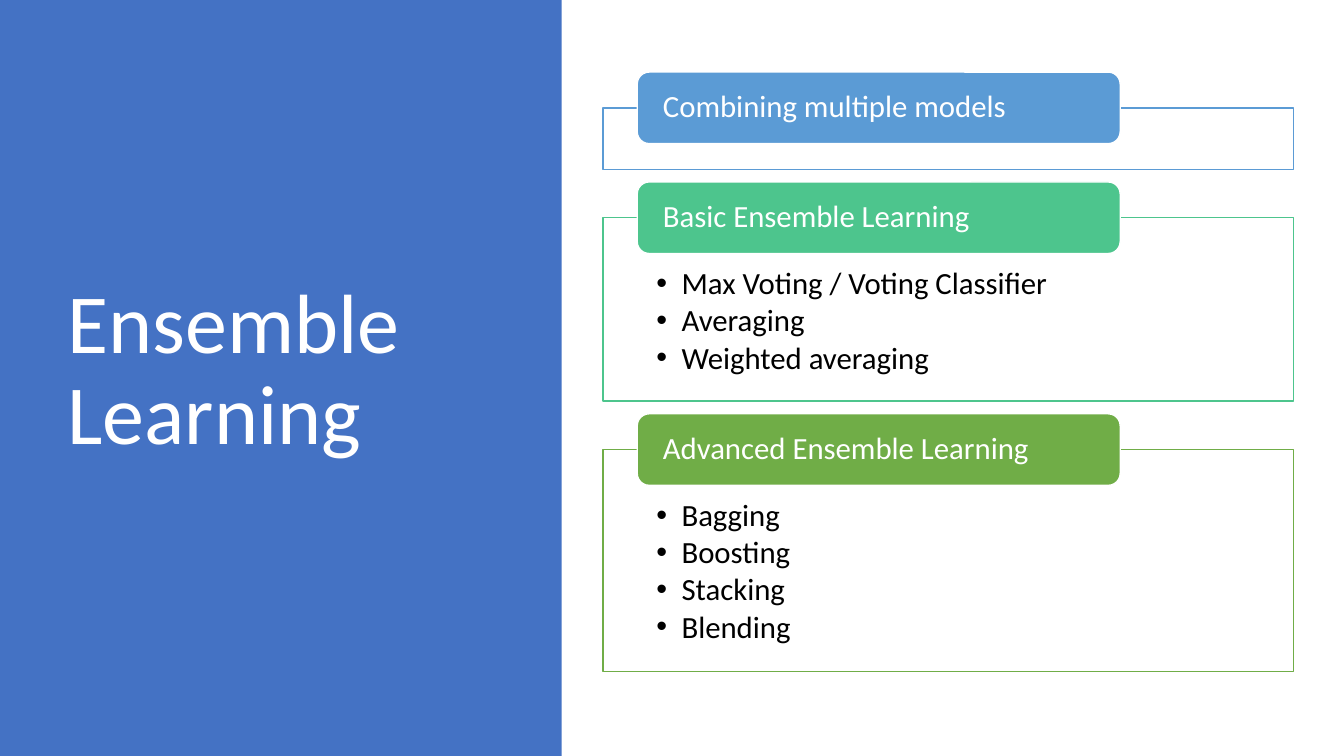
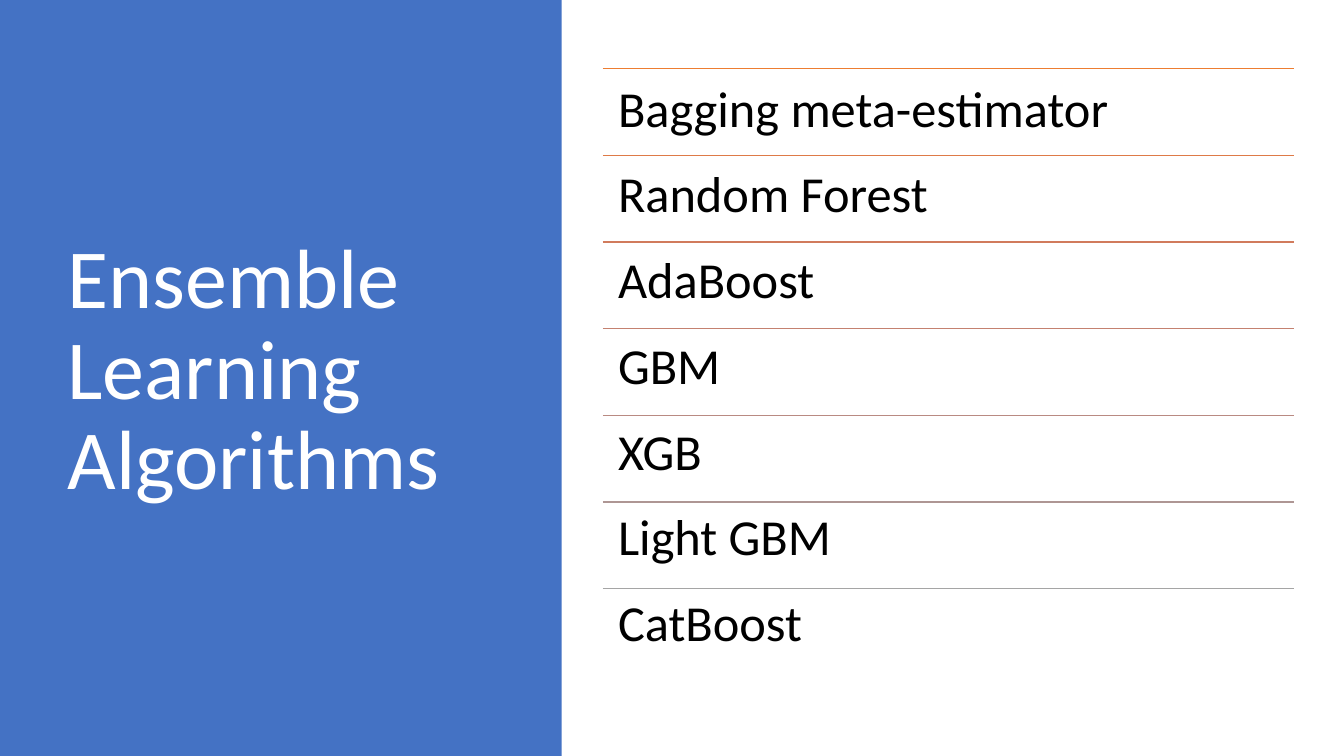
from dataclasses import dataclass

from pptx import Presentation
from pptx.dml.color import RGBColor
from pptx.enum.shapes import MSO_CONNECTOR, MSO_SHAPE
from pptx.enum.text import MSO_ANCHOR, MSO_AUTO_SIZE, PP_ALIGN
from pptx.oxml.ns import qn
from pptx.util import Inches, Pt


@dataclass(frozen=True)
class Theme:
    font: str = "Calibri"
    band: str = "4472C4"
    light: str = "FFFFFF"
    dark: str = "000000"
    title_size: int = 60
    row_size: int = 36
    card_size: int = 22
    line_width: float = 1
    line_spacing: float = 0.9


THEME = Theme()
TITLE_ONLY, TITLE_AND_LIST, TWO_LISTS = 5, 1, 3

CONTENT_LEFT, CONTENT_WIDTH = 5.98, 6.85
CARDS_TOP, CARD_GAP = 1.07, 0.48
HEADING_LEFT, HEADING_WIDTH, HEADING_HEIGHT = 6.32, 4.79, 0.71
ROWS_TOP, ROW_HEIGHT, ROW_GAP_PT = 0.68, 0.86, 22.37

CARDS = [
    ("Combining multiple models", "5B9BD5", 0.61, []),
    ("Basic Ensemble Learning", "4DC58D", 1.82,
     ["Max Voting / Voting Classifier", "Averaging", "Weighted averaging"]),
    ("Advanced Ensemble Learning", "70AD47", 2.2,
     ["Bagging", "Boosting", "Stacking", "Blending"]),
]
ALGORITHMS = [
    ("Bagging meta-estimator", "ED7D31"),
    ("Random Forest", "DE7A47"),
    ("AdaBoost", "D17B5C"),
    ("GBM", "C48170"),
    ("XGB", "B98A82"),
    ("Light GBM", "AE9694"),
    ("CatBoost", "A5A5A5"),
]


def set_values(target, values):
    for name, value in values.items():
        setattr(target, name, value)


def place(element, left, top, width, height):
    set_values(element, {"left": Inches(left), "top": Inches(top),
                         "width": Inches(width), "height": Inches(height)})


def paint(shape, fill, line=None):
    shape.fill.solid()
    shape.fill.fore_color.rgb = RGBColor.from_string(fill)
    if line:
        shape.line.color.rgb = RGBColor.from_string(line)
        shape.line.width = Pt(THEME.line_width)
    else:
        shape.line.fill.background()


def add_block(slide, kind, box, fill, line=None):
    block = slide.shapes.add_shape(kind, *map(Inches, box))
    block.shadow.inherit = False
    paint(block, fill, line)
    return block


def set_bullet(paragraph, indent):
    properties = paragraph._p.get_or_add_pPr()
    properties.set("marL", str(Inches(indent)))
    properties.set("indent", str(-Inches(indent)))
    if indent:
        properties.makeelement(qn("a:buChar"), {"char": "•"})
        bullet = properties.makeelement(qn("a:buChar"), {"char": "•"})
    else:
        bullet = properties.makeelement(qn("a:buNone"), {})
    properties.append(bullet)


def write(shape, lines, size, color, insets=(0.1, 0.05, 0.1, 0.05),
          anchor=MSO_ANCHOR.MIDDLE, gap=0, indent=0):
    frame = shape.text_frame
    left, top, right, bottom = map(Inches, insets)
    set_values(frame, {"word_wrap": True, "auto_size": MSO_AUTO_SIZE.NONE,
                       "vertical_anchor": anchor, "margin_left": left,
                       "margin_top": top, "margin_right": right,
                       "margin_bottom": bottom})
    for number, line in enumerate(lines):
        paragraph = frame.add_paragraph() if number else frame.paragraphs[0]
        set_bullet(paragraph, indent)
        set_values(paragraph, {"alignment": PP_ALIGN.LEFT,
                               "line_spacing": THEME.line_spacing,
                               "space_before": Pt(0), "space_after": Pt(gap)})
        run = paragraph.add_run()
        run.text = line
        set_values(run.font, {"name": THEME.font, "size": Pt(size)})
        run.font.color.rgb = RGBColor.from_string(color)


def add_titled_slide(deck, layout, title):
    slide = deck.slides.add_slide(deck.slide_layouts[layout])
    band = add_block(slide, MSO_SHAPE.RECTANGLE, (0, 0, 5.57, 7.5), THEME.band)
    slide.shapes._spTree.insert(2, band._element)
    place(slide.shapes.title, 0.57, 0.68, 4.16, 6.02)
    write(slide.shapes.title, [title], THEME.title_size, THEME.light)
    return slide


def add_card(slide, top, heading, color, height, points, body):
    box = (CONTENT_LEFT, top, CONTENT_WIDTH, height)
    if points:
        place(body, *box)
        paint(body, THEME.light, color)
        write(body, points, THEME.card_size, THEME.dark,
              (0.53, 0.5, 0.53, 0.17), MSO_ANCHOR.TOP, gap=2.8, indent=0.25)
    else:
        add_block(slide, MSO_SHAPE.RECTANGLE, box, THEME.light, color)
    tab = add_block(slide, MSO_SHAPE.ROUNDED_RECTANGLE,
                    (HEADING_LEFT, top - HEADING_HEIGHT / 2,
                     HEADING_WIDTH, HEADING_HEIGHT), color, THEME.light)
    write(tab, [heading], THEME.card_size, THEME.light, (0.22, 0, 0.22, 0))


def add_rule(slide, top, color):
    rule = slide.shapes.add_connector(
        MSO_CONNECTOR.STRAIGHT, Inches(CONTENT_LEFT), Inches(top),
        Inches(CONTENT_LEFT + CONTENT_WIDTH), Inches(top))
    rule.line.color.rgb = RGBColor.from_string(color)
    rule.line.width = Pt(THEME.line_width)
    properties = rule._element.spPr
    properties.append(properties.makeelement(qn("a:effectLst"), {}))


def build_overview(deck):
    slide = add_titled_slide(deck, TWO_LISTS, "Ensemble Learning")
    bodies = iter([slide.placeholders[1], slide.placeholders[2]])
    top = CARDS_TOP
    for heading, color, height, points in CARDS:
        body = next(bodies) if points else None
        add_card(slide, top, heading, color, height, points, body)
        top += height + CARD_GAP


def build_algorithms(deck):
    slide = add_titled_slide(deck, TITLE_AND_LIST, "Ensemble Learning Algorithms")
    names = slide.placeholders[1]
    place(names, CONTENT_LEFT, ROWS_TOP, CONTENT_WIDTH,
          ROW_HEIGHT * len(ALGORITHMS))
    write(names, [name for name, _ in ALGORITHMS], THEME.row_size, THEME.dark,
          (0.15, 0.15, 0.15, 0.15), MSO_ANCHOR.TOP, gap=ROW_GAP_PT)
    for row, (_, color) in enumerate(ALGORITHMS):
        add_rule(slide, ROWS_TOP + row * ROW_HEIGHT, color)


def main():
    deck = Presentation()
    set_values(deck, {"slide_width": Inches(13.33), "slide_height": Inches(7.5)})
    build_overview(deck)
    build_algorithms(deck)
    deck.save("out.pptx")


if __name__ == "__main__":
    main()
